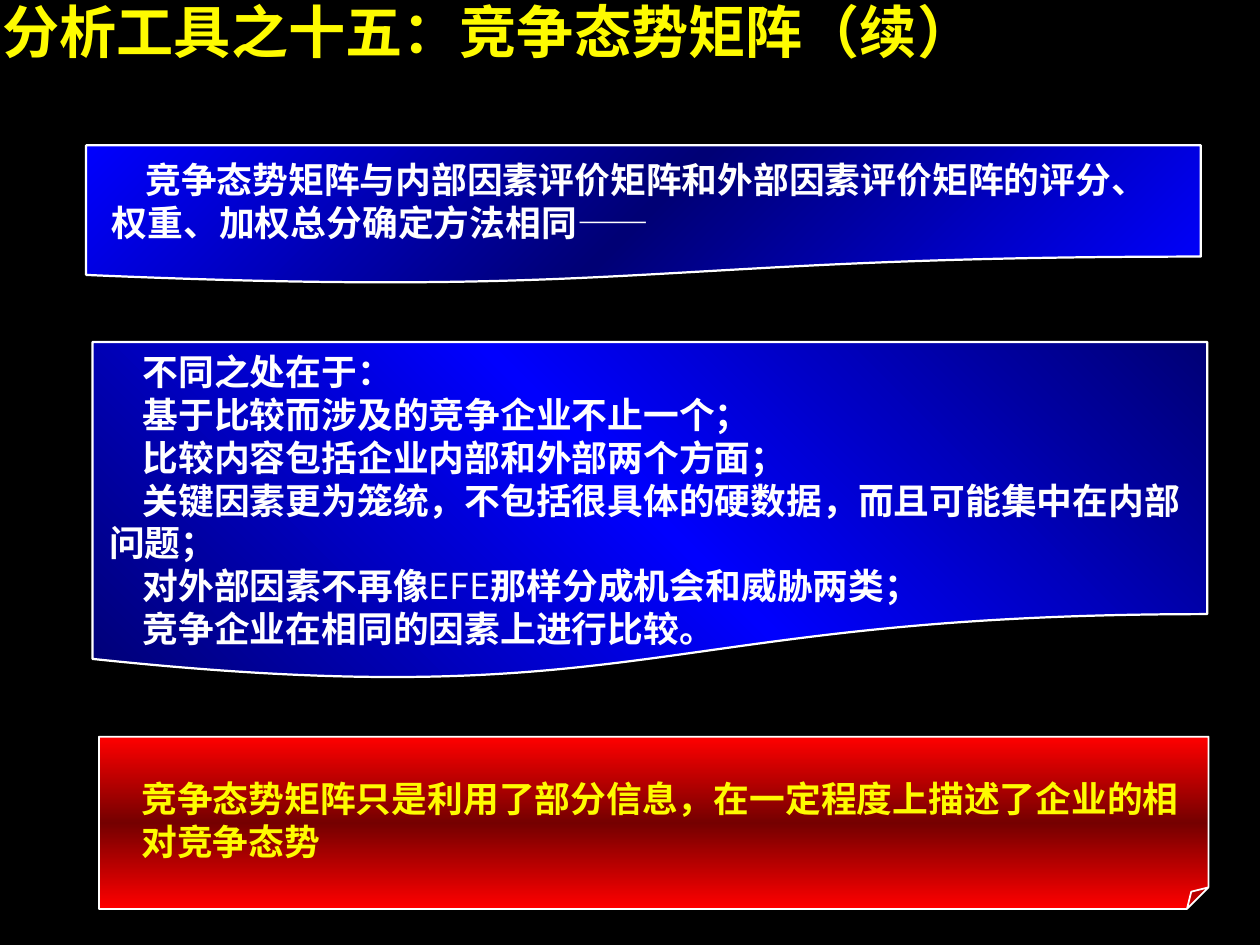
"""Build the competitive profile matrix slide with three gradient panels."""
from dataclasses import dataclass

from lxml.etree import SubElement
from pptx import Presentation
from pptx.dml.color import RGBColor
from pptx.enum.shapes import MSO_SHAPE
from pptx.enum.text import MSO_ANCHOR, PP_ALIGN
from pptx.oxml.ns import qn
from pptx.util import Inches, Pt

FONT = "Noto Sans CJK SC"
COLORS = {
    "black": "000000",
    "white": "FFFFFF",
    "yellow": "FEFB00",
    "blue": "0000FE",
    "navy": "000075",
    "red": "FF0000",
    "maroon": "750000",
}


@dataclass
class Panel:
    box: tuple[float, float, float, float]
    shape: MSO_SHAPE
    edge: str
    middle: str
    angle: int
    line: float


@dataclass
class Run:
    text: str
    bold: bool = True


@dataclass
class Text:
    box: tuple[float, float, float, float]
    paragraphs: list[list[Run]]
    color: str
    size: float = 20
    indent: float = 0
    after: float = 0
    wrap: bool = True
    shadow: bool = True


ITEMS = [
    (Panel((0.67, 1.13, 8.67, 1.08), MSO_SHAPE.FLOWCHART_DOCUMENT, "blue", "navy", 225, 1.25),
     Text((0.87, 1.23, 8.25, 0.67),
          [[Run("竞争态势矩阵与内部因素评价矩阵和外部因素评价矩阵的评分、权重、加权总分确定方法相同"),
            Run("——", False)]],
          "white", indent=0.26, after=12.5)),
    (Panel((0.72, 2.66, 8.67, 2.64), MSO_SHAPE.FLOWCHART_DOCUMENT, "navy", "blue", 135, 1.25),
     Text((0.85, 2.72, 8.4, 2.33),
          [[Run("不同之处在于：")],
           [Run("基于比较而涉及的竞争企业不止一个；")],
           [Run("比较内容包括企业内部和外部两个方面；")],
           [Run("关键因素更为笼统，不包括很具体的硬数据，而且可能集中在内部问题；")],
           [Run("对外部因素不再像"), Run("EFE", False), Run("那样分成机会和威胁两类；")],
           [Run("竞争企业在相同的因素上进行比较。")]],
          "white", indent=0.26)),
    (Panel((0.77, 5.73, 8.63, 1.34), MSO_SHAPE.FOLDED_CORNER, "red", "maroon", 90, 1),
     Text((1.1, 6.04, 8.27, 0.67),
          [[Run("竞争态势矩阵只是利用了部分信息，在一定程度上描述了企业的相对竞争态势")]],
          "yellow", after=12.5)),
]
TITLE = Text((0.02, -0.03, 7.57, 0.53), [[Run("分析工具之十五：竞争态势矩阵（续）")]],
             "yellow", size=32, after=20, wrap=False, shadow=False)


def rgb(name: str) -> RGBColor:
    return RGBColor.from_string(COLORS[name])


def add_panel(s, panel: Panel) -> None:
    sp = s.shapes.add_shape(panel.shape, *map(Inches, panel.box))
    sp.shadow.inherit = False
    if panel.shape == MSO_SHAPE.FOLDED_CORNER:
        guides = sp._element.spPr.find(".//" + qn("a:avLst"))
        SubElement(guides, qn("a:gd"), name="adj", fmla="val 12500")
    sp.fill.gradient()
    sp.fill.gradient_angle = 360 - panel.angle
    stops = sp._element.spPr.find(".//" + qn("a:gsLst"))
    for stop in list(stops):
        stops.remove(stop)
    for pos, name in ((0, panel.edge), (50, panel.middle), (100, panel.edge)):
        stop = SubElement(stops, qn("a:gs"), pos=str(pos * 1000))
        SubElement(stop, qn("a:srgbClr"), val=COLORS[name])
    sp.line.color.rgb = rgb("white")
    sp.line.width = Pt(panel.line)


def add_text_shadow(r) -> None:
    effects = r._r.makeelement(qn("a:effectLst"))
    shadow = SubElement(effects, qn("a:outerShdw"), dist="25400", dir="2700000")
    SubElement(shadow, qn("a:srgbClr"), val=COLORS["black"])
    r._r.rPr.find(qn("a:solidFill")).addnext(effects)


def add_text(s, text: Text) -> None:
    tf = s.shapes.add_textbox(*map(Inches, text.box)).text_frame
    tf.margin_left = tf.margin_top = tf.margin_right = tf.margin_bottom = 0
    tf.word_wrap = text.wrap
    tf.vertical_anchor = MSO_ANCHOR.TOP
    for i, runs in enumerate(text.paragraphs):
        p = tf.add_paragraph() if i else tf.paragraphs[0]
        p.alignment = PP_ALIGN.LEFT
        p.space_after = Pt(text.after)
        p._p.get_or_add_pPr().set("indent", str(Inches(text.indent)))
        for run in runs:
            r = p.add_run()
            r.text = run.text
            r.font.size = Pt(text.size)
            r.font.bold = run.bold
            r.font.color.rgb = rgb(text.color)
            r.font.name = FONT
            r._r.rPr.find(qn("a:latin")).addnext(
                r._r.makeelement(qn("a:ea"), {"typeface": FONT}))
            if text.shadow:
                add_text_shadow(r)


def main() -> None:
    prs = Presentation()
    prs.slide_width, prs.slide_height = Inches(9.8), Inches(7.35)
    s = prs.slides.add_slide(prs.slide_layouts[6])
    s.background.fill.solid()
    s.background.fill.fore_color.rgb = rgb("black")
    add_text(s, TITLE)
    for panel, text in ITEMS:
        add_panel(s, panel)
        add_text(s, text)
    prs.save("out.pptx")


if __name__ == "__main__":
    main()
